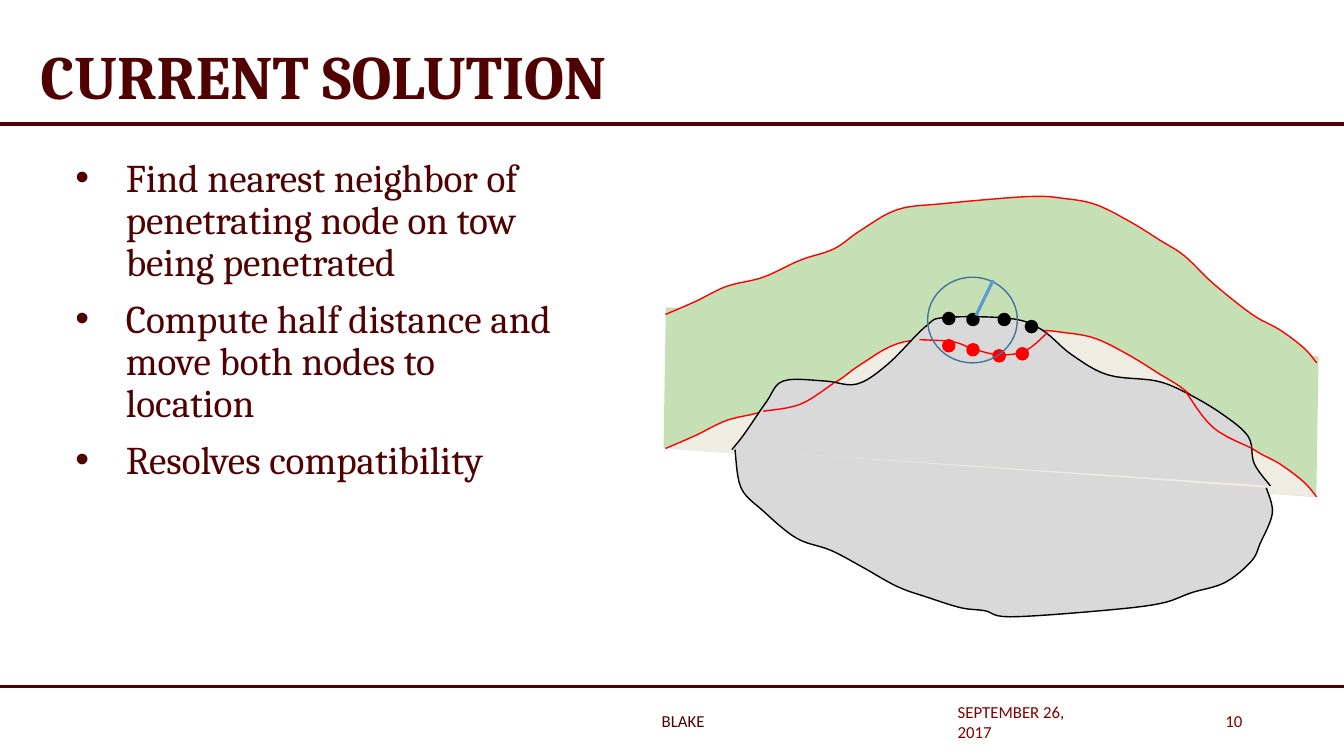
from math import pi, sin

from lxml import etree
from pptx import Presentation
from pptx.dml.color import RGBColor
from pptx.enum import shapes, text
from pptx.oxml.ns import qn
from pptx.util import Inches, Pt

MAROON, DARK_RED, RED, BLACK = "500000", "800000", "FF0000", "000000"
GREEN, CREAM, GREY = "C5E0B4", "EFEDE3", "D9D9D9"
STRAIGHT = shapes.MSO_CONNECTOR.STRAIGHT
OVAL = shapes.MSO_SHAPE.OVAL


def paint(shape, line, width=1, fill=None):
    """Set line and fill colours, and switch the shadow off."""
    shape.line.color.rgb = RGBColor.from_string(line)
    shape.line.width = Pt(width)
    if shape.shape_type == shapes.MSO_SHAPE_TYPE.LINE:
        etree.SubElement(shape._element.spPr, qn("a:effectLst"))
        return
    shape.shadow.inherit = False
    if fill:
        shape.fill.solid()
        shape.fill.fore_color.rgb = RGBColor.from_string(fill)
    else:
        shape.fill.background()


def write(paragraph, words, size, face, color, bold=False):
    run = paragraph.add_run()
    run.text = words
    run.font.size, run.font.name, run.font.bold = Pt(size), face, bold
    run.font.color.rgb = RGBColor.from_string(color)


deck = Presentation()
deck.slide_width, deck.slide_height = Inches(13.33), Inches(7.5)
slide = deck.slides.add_slide(deck.slide_layouts[5])

# Rules above and below the content
for y, width in ((1.23, 2.5), (6.81, 2)):
    rule = slide.shapes.add_connector(STRAIGHT, Inches(0), Inches(y), Inches(13.33), Inches(y))
    paint(rule, MAROON, width)

# Title
title = slide.shapes.title
title.left, title.top, title.width, title.height = Inches(0.3), Inches(-0.02), Inches(10.5), Inches(1.62)
title.text_frame.auto_size = text.MSO_AUTO_SIZE.NONE
title.text_frame.vertical_anchor = text.MSO_ANCHOR.MIDDLE
heading = title.text_frame.paragraphs[0]
heading.alignment = text.PP_ALIGN.LEFT
heading.line_spacing = 0.9
write(heading, "CURRENT SOLUTION", 44, "Cambria", MAROON, bold=True)

# Steps of the solution
steps = slide.shapes.add_textbox(Inches(0.65), Inches(1.52), Inches(5.05), Inches(4.6)).text_frame
steps.word_wrap = True
for i, step in enumerate(("Find nearest neighbor of penetrating node on tow being penetrated",
                          "Compute half distance and move both nodes to location",
                          "Resolves compatibility")):
    item = steps.add_paragraph() if i else steps.paragraphs[0]
    props = item._p.get_or_add_pPr()
    props.set("marL", str(Inches(0.5)))
    props.set("indent", str(Inches(-0.5)))
    etree.SubElement(props, qn("a:buFont"), typeface="Arial")
    etree.SubElement(props, qn("a:buChar"), char="•")
    item.line_spacing = 0.9
    if i:
        item.space_before = Pt(10)
    write(item, step, 28, "Cambria", MAROON)

# Green tow: the lower edge is the upper edge moved down by the tow's thickness
THICKNESS = 1.33
upper_edge = [(6.6, 3.12), (6.9, 2.99), (7.21, 2.84), (7.57, 2.75), (7.94, 2.58), (8.27, 2.47),
              (8.53, 2.29), (8.9, 2.08), (9.36, 2.02), (10.2, 1.95), (10.56, 1.97), (10.87, 2.03),
              (11.21, 2.2), (11.5, 2.38), (11.75, 2.54), (12.03, 2.81), (12.42, 3.12),
              (12.69, 3.27), (12.93, 3.45), (13.06, 3.6)]
lower_edge = [(x, y + THICKNESS) for x, y in upper_edge]

# Grey tow: its two halves, and the dent that it presses into the green tow
grey_top = [(7.26, 4.46), (7.38, 4.31), (7.6, 3.99), (7.77, 3.78), (8.18, 3.78), (8.5, 3.81),
            (8.81, 3.61), (9.18, 3.24), (9.38, 3.15), (10.02, 3.16), (10.33, 3.27), (10.63, 3.52),
            (10.99, 3.72), (11.47, 3.78), (11.77, 3.9), (12.11, 4.1), (12.38, 4.33),
            (12.44, 4.6), (12.6, 4.82)]
grey_bottom = [(7.29, 4.46), (7.35, 4.84), (7.57, 5.07), (7.9, 5.34), (8.24, 5.46), (8.56, 5.63),
               (8.9, 5.82), (9.21, 5.93), (9.53, 6.03), (9.77, 6.06), (10.02, 6.12), (10.91, 6.06),
               (11.5, 5.99), (11.82, 5.88), (12.15, 5.78), (12.41, 5.57), (12.5, 5.39),
               (12.62, 5.09), (12.56, 4.84)]
dent = [(9.12, 3.37), (9.45, 3.39), (9.65, 3.46), (9.91, 3.52), (10.17, 3.48), (10.39, 3.3)]

outlines = [(upper_edge, RED, GREEN), (lower_edge, RED, CREAM),
            (grey_top, BLACK, GREY), (grey_bottom, BLACK, GREY), (dent, RED, None)]

# Where the tows overlap, the lower edge sags in a half sine wave
SAG = 0.1
for start, end in ((7.57, 8.27), (11.75, 12.42)):
    stretch = [(x, y) for x, y in lower_edge if start <= x <= end]
    sagging = [(x, y + SAG * sin(pi * i / (len(stretch) - 1))) for i, (x, y) in enumerate(stretch)]
    outlines.append((sagging, RED, None))

tows = slide.shapes.add_group_shape().shapes
band = tows.add_shape(shapes.MSO_SHAPE.PARALLELOGRAM, Inches(6.55), Inches(3.3), Inches(6.56), Inches(1.38))
band.adjustments[0] = 0.059
band.rotation = 184.3
band._element.spPr.find(qn("a:xfrm")).set("flipH", "1")
paint(band, GREEN, fill=GREEN)

# Each outline is a Catmull-Rom curve through its points
PIECES = 6
for points, line, fill in outlines:
    padded = [points[0], *points, points[-1]]
    curve = []
    for before, a, b, after in zip(padded, padded[1:], padded[2:], padded[3:]):
        for piece in range(1, PIECES + 1):
            t = piece / PIECES
            curve.append([Inches(q + t / 2 * (r - p + t * (2 * p - 5 * q + 4 * r - s
                                                           + t * (3 * q - p - 3 * r + s))))
                          for p, q, r, s in zip(before, a, b, after)])
    pen = tows.build_freeform(*(Inches(value) for value in points[0]))
    pen.add_line_segments(curve, close=False)
    paint(pen.convert_to_shape(), line, fill=fill)

# Nodes on the surface of each tow, by centre
NODE = 0.12
node_rows = {BLACK: ((9.41, 3.16), (9.65, 3.17), (9.96, 3.17), (10.23, 3.24)),
             RED: ((9.41, 3.43), (9.65, 3.47), (9.91, 3.53), (10.14, 3.51))}
for color, centres in node_rows.items():
    for x, y in centres:
        node = slide.shapes.add_shape(OVAL, Inches(x - NODE / 2), Inches(y - NODE / 2),
                                      Inches(NODE), Inches(NODE))
        paint(node, color, fill=color)

# Search circle and its radius
search = slide.shapes.add_group_shape().shapes
circle = search.add_shape(OVAL, Inches(9.2), Inches(2.75), Inches(0.89), Inches(0.85))
paint(circle, "43739E")
radius = search.add_connector(STRAIGHT, Inches(9.68), Inches(3.13), Inches(9.85), Inches(2.78))
paint(radius, "5B9BD5", 2.25)

# Footer
for words, x, y, width, align, color in (
        ("SEPTEMBER 26, 2017", 9.4, 6.96, 1.55, text.PP_ALIGN.LEFT, DARK_RED),
        ("BLAKE", 4.42, 6.95, 4.71, text.PP_ALIGN.CENTER, MAROON),
        ("10", 11.23, 6.95, 1.19, text.PP_ALIGN.RIGHT, DARK_RED)):
    footer = slide.shapes.add_textbox(Inches(x), Inches(y), Inches(width), Inches(0.4)).text_frame
    footer.word_wrap = True
    footer.vertical_anchor = text.MSO_ANCHOR.MIDDLE
    footer.paragraphs[0].alignment = align
    write(footer.paragraphs[0], words, 12, "Calibri", color)

deck.save("out.pptx")
